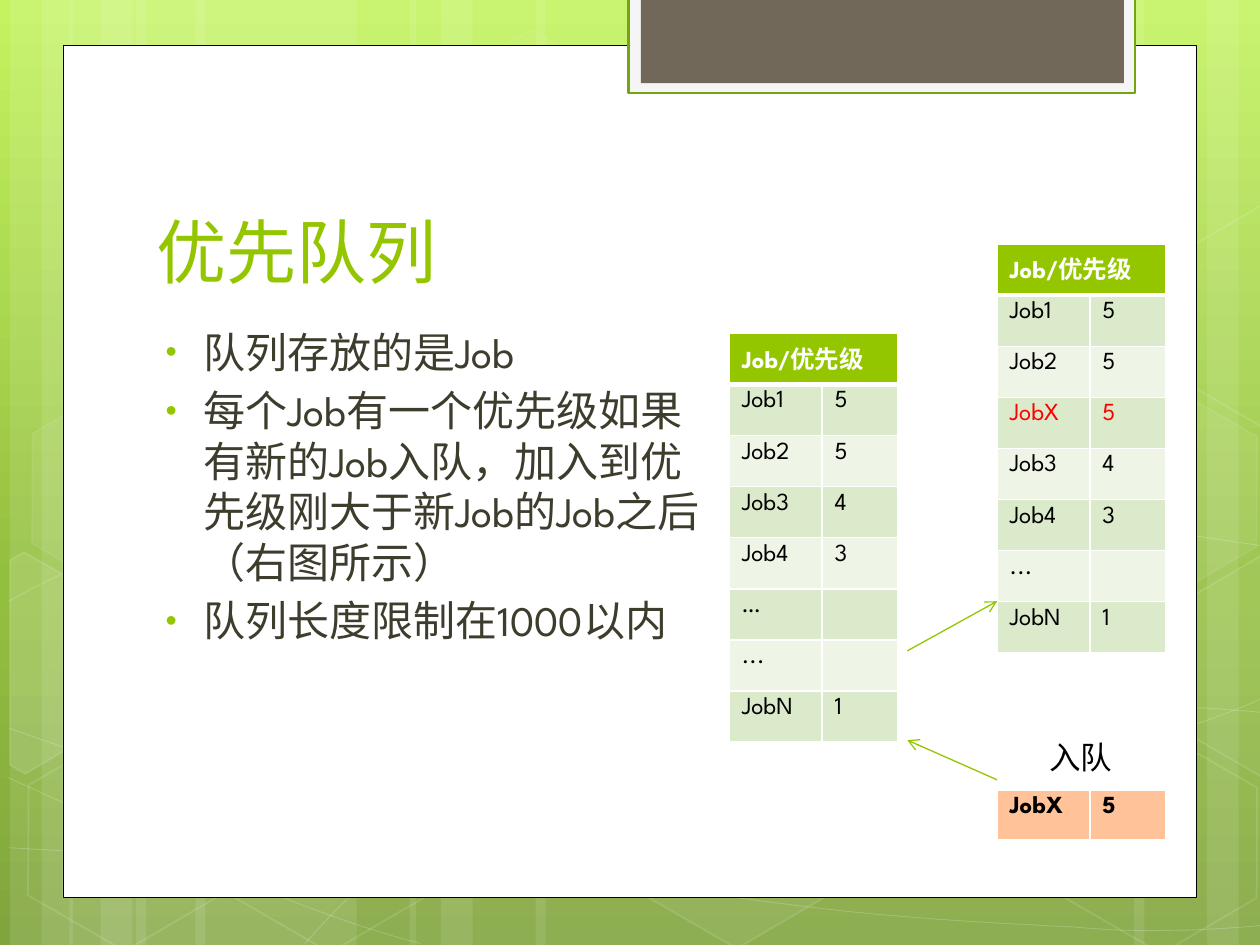
from copy import deepcopy

from lxml import etree
from pptx import Presentation
from pptx.dml.color import RGBColor
from pptx.enum.shapes import MSO_CONNECTOR, MSO_SHAPE
from pptx.enum.text import MSO_ANCHOR, MSO_AUTO_SIZE, PP_ALIGN
from pptx.oxml.ns import qn
from pptx.util import Cm, Pt

RECTANGLE = MSO_SHAPE.RECTANGLE
HEXAGON = MSO_SHAPE.HEXAGON
STRAIGHT = MSO_CONNECTOR.STRAIGHT
BOTTOM = MSO_ANCHOR.BOTTOM
LEFT = PP_ALIGN.LEFT
NO_FIT = MSO_AUTO_SIZE.NONE

FONT = "League Spartan"
GREEN, WHITE, BLACK, RED = "94C600", "FFFFFF", "000000", "FF0000"
BANDS = ("DCEACC", "EEF5E7")
SKY = ((0, "C3F35F"), (0.62, "93BF3F"), (1, "81A53E"))
HEADER = "Job/优先级"
BEFORE = (("Job1", "5"), ("Job2", "5"), ("Job3", "4"), ("Job4", "3"),
          ("…", ""), ("...", ""), ("JobN", "1"))
AFTER = (("Job1", "5"), ("Job2", "5"), ("JobX", "5"), ("Job3", "4"),
         ("Job4", "3"), ("...", ""), ("JobN", "1"))
POINTS = ("队列存放的是Job",
          "每个Job有一个优先级如果有新的Job入队，加入到优先级刚大于新Job的Job之后（右图所示）",
          "队列长度限制在1000以内")
STRIPES = ((2.74, 4.45), (0.2, 1.27), (0.84, 2.11), (3.94, 4.45), (1.4, 1.27), (2.03, 2.11),
           (18.62, 4.45), (24.33, 1.27), (22.86, 2.11), (10.8, 7.82), (8.26, 1.27), (8.89, 2.11))
HEXAGONS = ((8.48, 0.91, 4, 8), (12.62, 14.96, 6, 12), (0.28, 15.01, 0, 12), (0.36, 7.92, 7, 8),
            (4.42, 15.04, 0, 12), (21.18, 15.06, 0, 12), (21.18, 7.98, 7, 8))
CUT_HEXAGONS = (
    (((0.2, 11.3), (0.48, 11.13), (2.44, 12.24), (2.41, 14.48), (0.51, 15.6), (0.2, 15.42)), 10),
    (((23.52, 12.32), (25.43, 11.2), (25.63, 11.33), (25.63, 15.57), (25.45, 15.67), (23.52, 14.55)), 4),
    (((23.52, 5.26), (25.43, 4.14), (25.65, 4.27), (25.63, 8.51), (25.45, 8.61), (23.52, 7.49)), 0))
WAVES = (
    ((0.18, 17.09), (1.55, 17.17), (2.92, 17.25), (4.83, 17.22), (6.73, 17.2), (9.09, 17.15),
     (11.63, 16.89), (14.17, 16.64), (17.78, 16.15), (20.12, 15.67), (22.43, 15.19),
     (24.82, 14.43), (25.58, 14)),
    ((0.18, 12.12), (0.91, 11.71), (1.65, 11.33), (3.07, 10.95), (4.52, 10.57), (6.58, 10.01),
     (8.81, 9.83), (11.07, 9.65), (13.82, 9.63), (16.61, 9.83), (19.41, 10.03),
     (24.05, 10.82), (25.58, 11.02)),
    ((0.15, 15.67), (3.23, 17.07), (6.27, 18.47), (8.48, 19.02)),
    ((0.18, 14.68), (0.97, 14.96), (1.78, 15.24), (3.25, 15.65), (4.72, 16.03), (6.93, 16.66),
     (9.07, 17.09), (11.18, 17.53), (13.84, 17.98), (15.95, 18.24), (18.06, 18.52),
     (20.32, 18.62), (21.67, 18.69), (22.99, 18.8), (23.34, 18.75), (24, 18.75),
     (24.66, 18.72), (25.12, 18.69), (25.58, 18.64)),
    ((6.15, 19.02), (6.6, 18.52), (7.06, 18.01), (7.67, 17.55), (8.28, 17.09), (9.14, 16.59),
     (9.86, 16.23), (10.57, 15.88), (11, 15.72), (11.94, 15.47), (12.85, 15.21), (14.55, 14.86),
     (15.44, 14.68), (16.36, 14.5), (16.48, 14.5), (17.27, 14.45), (18.06, 14.38), (19.3, 14.3),
     (20.17, 14.27), (21.06, 14.25), (22.5, 14.27), (22.5, 14.27), (23.07, 14.27),
     (23.64, 14.27), (24.21, 14.27), (24.66, 14.3), (25.1, 14.33), (25.32, 14.35),
     (25.55, 14.38), (25.48, 14.35), (25.55, 14.38)))


def colour(value):
    """Turn a hex string into a colour."""
    return RGBColor.from_string(value)


def fade(shape, parent, percent):
    """Set the opacity of the solid fill found under the given parent."""
    tone = shape._element.spPr.find(f"{parent}{qn('a:solidFill')}/{qn('a:srgbClr')}")
    etree.SubElement(tone, qn("a:alpha"), val=str(percent * 1000))


def paint(shape, fill=None, line=None, width=1, fill_opacity=100, line_opacity=100):
    """Give a shape its fill and outline, without a shadow."""
    shape.shadow.inherit = False
    if fill and fill_opacity:
        shape.fill.solid()
        shape.fill.fore_color.rgb = colour(fill)
        if fill_opacity < 100:
            fade(shape, "", fill_opacity)
    else:
        shape.fill.background()
    if line:
        shape.line.color.rgb = colour(line)
        shape.line.width = Pt(width)
        if line_opacity < 100:
            fade(shape, qn("a:ln") + "/", line_opacity)
    else:
        shape.line.fill.background()


def add_preset(page, kind, left, top, width, height):
    """Add a preset shape placed in centimetres."""
    return page.shapes.add_shape(kind, Cm(left), Cm(top), Cm(width), Cm(height))


def add_outline(page, points, close):
    """Add a freeform through points given in centimetres."""
    first, *rest = [(Cm(x), Cm(y)) for x, y in points]
    builder = page.shapes.build_freeform(*first)
    builder.add_line_segments(rest, close=close)
    return builder.convert_to_shape()


def add_wave(page, controls):
    """Add a freeform whose points steer a chain of cubic curves."""
    wave = add_outline(page, controls, False)
    lines = wave._element.spPr.findall(".//" + qn("a:lnTo"))
    for start in range(0, len(lines), 3):
        curve = etree.Element(qn("a:cubicBezTo"))
        lines[start].addprevious(curve)
        for line in lines[start:start + 3]:
            curve.append(line[0])
            line.getparent().remove(line)
    return wave


def fill_background(page):
    """Fill the page with a vertical three-stop gradient."""
    fill = page.background.fill
    fill.gradient()
    fill.gradient_angle = 270
    stops = page._element.find(".//" + qn("a:gsLst"))
    stops.append(deepcopy(stops[-1]))
    for stop, (position, tone) in zip(fill.gradient_stops, SKY):
        stop.position = position
        stop.color.rgb = colour(tone)


def add_scenery(page):
    """Draw the stripes, waves, hexagons, white card and top tab."""
    for left, width in STRIPES:
        paint(add_preset(page, RECTANGLE, left, 0, width, 19.05), WHITE, fill_opacity=10)
    for controls in WAVES:
        paint(add_wave(page, controls), line=WHITE, width=0.5, line_opacity=20)
    for left, top, fill_opacity, line_opacity in HEXAGONS:
        hexagon = add_preset(page, HEXAGON, left, top, 4.45, 3.86)
        hexagon.adjustments[0] = 0.285
        hexagon.rotation = 30
        paint(hexagon, WHITE, WHITE, 1, fill_opacity, line_opacity)
    for points, opacity in CUT_HEXAGONS:
        paint(add_outline(page, points, True), WHITE, WHITE, 1, opacity, 12)
    paint(add_preset(page, RECTANGLE, 1.27, 0.91, 22.86, 17.19), WHITE, BLACK, 0.5)
    paint(add_preset(page, RECTANGLE, 12.67, -0.05, 10.21, 1.93), "F5F5F5", "74A510", 1.25)
    paint(add_preset(page, RECTANGLE, 12.92, -0.05, 9.74, 1.73), "71685A")


def write(para, text, size, tone, bold=False):
    """Write one paragraph in one style."""
    para.text = text
    para.font.name = FONT
    para.font.size = Pt(size)
    para.font.bold = bold
    para.font.color.rgb = colour(tone)


def set_title(page, text):
    """Place and format the title."""
    title = page.shapes.title
    title.left, title.top, title.width, title.height = Cm(2.9), Cm(2.84), Cm(19.5), Cm(3.18)
    frame = title.text_frame
    frame.auto_size = NO_FIT
    frame.vertical_anchor = BOTTOM
    write(frame.paragraphs[0], text, 40, GREEN)
    frame.paragraphs[0].alignment = LEFT


def add_text(page, left, top, width, height, wrap):
    """Add a text box and return its frame."""
    frame = page.shapes.add_textbox(Cm(left), Cm(top), Cm(width), Cm(height)).text_frame
    frame.word_wrap = wrap
    return frame


def add_bullets(page, lines):
    """Add the bulleted body text."""
    frame = add_text(page, 2.88, 6.45, 11.61, 9.75, True)
    for index, line in enumerate(lines):
        para = frame.add_paragraph() if index else frame.paragraphs[0]
        write(para, line, 24, "3E3D2D")
        para.space_before = Pt(4.8)
        props = para._p.get_or_add_pPr()
        props.set("marL", str(Cm(0.97)))
        props.set("indent", str(Cm(-0.76)))
        marks = [etree.Element(qn("a:buClr")), etree.Element(qn("a:buSzPct"), val="76000"),
                 etree.Element(qn("a:buFont"), typeface="Arial"),
                 etree.Element(qn("a:buChar"), char="•")]
        etree.SubElement(marks[0], qn("a:srgbClr"), val=GREEN)
        for mark in marks:
            props.find(qn("a:defRPr")).addprevious(mark)


def style_cell(cell, text, fill, tone, bold, bottom):
    """Fill, write and border one table cell."""
    cell.fill.solid()
    cell.fill.fore_color.rgb = colour(fill)
    write(cell.text_frame.paragraphs[0], text, 14, tone, bold)
    props = cell._tc.get_or_add_tcPr()
    for index, (side, width) in enumerate(zip("LRTB", (1, 1, 1, bottom))):
        border = etree.Element(qn(f"a:ln{side}"), w=str(Pt(width)))
        solid = etree.SubElement(border, qn("a:solidFill"))
        etree.SubElement(solid, qn("a:srgbClr"), val=WHITE)
        props.insert(index, border)


def add_queue(page, left, top, jobs, header=None, fills=BANDS, bold=False, bottom=1, marked=None):
    """Add a two-column job table, with a merged header if given."""
    rows = ([(header, "")] if header else []) + list(jobs)
    table = page.shapes.add_table(len(rows), 2, Cm(left), Cm(top), Cm(3.39), Cm(1.03 * len(rows))).table
    table.first_row = table.horz_banding = False
    table.columns[0].width, table.columns[1].width = Cm(1.87), Cm(1.52)
    for index, row in enumerate(rows):
        is_header = bool(header) and index == 0
        band = fills[(index - bool(header)) % len(fills)]
        look = (GREEN, WHITE, True, 3) if is_header else (
            band, RED if row[0] == marked else BLACK, bold, bottom)
        for column, text in enumerate(row):
            style_cell(table.cell(index, column), text, *look)
    if header:
        table.cell(0, 0).merge(table.cell(0, 1))


def add_arrow(page, start, end):
    """Add a thin green arrow."""
    arrow = page.shapes.add_connector(STRAIGHT, *map(Cm, start + end))
    arrow.line.color.rgb = colour(GREEN)
    arrow.line.width = Pt(0.75)
    etree.SubElement(arrow._element.spPr.find(qn("a:ln")), qn("a:tailEnd"), type="arrow")
    etree.SubElement(arrow._element.spPr, qn("a:effectLst"))


def main():
    """Build the priority queue slide."""
    deck = Presentation()
    deck.slide_width, deck.slide_height = Cm(25.4), Cm(19.05)
    page = deck.slides.add_slide(deck.slide_layouts[5])
    fill_background(page)
    add_scenery(page)
    title = page.shapes.title._element
    title.getparent().append(title)
    set_title(page, "优先队列")
    add_bullets(page, POINTS)
    add_queue(page, 14.7, 6.72, BEFORE, HEADER)
    add_queue(page, 20.1, 4.92, AFTER, HEADER, marked="JobX")
    add_queue(page, 20.1, 15.93, [("JobX", "5")], fills=("FFC299",), bold=True, bottom=3)
    add_arrow(page, (20.1, 15.72), (18.29, 14.92))
    add_arrow(page, (18.29, 13.12), (20.1, 12.12))
    label = add_text(page, 20.9, 14.76, 1.8, 1.02, False)
    write(label.paragraphs[0], "入队", 18, BLACK)
    deck.save("out.pptx")


main()
